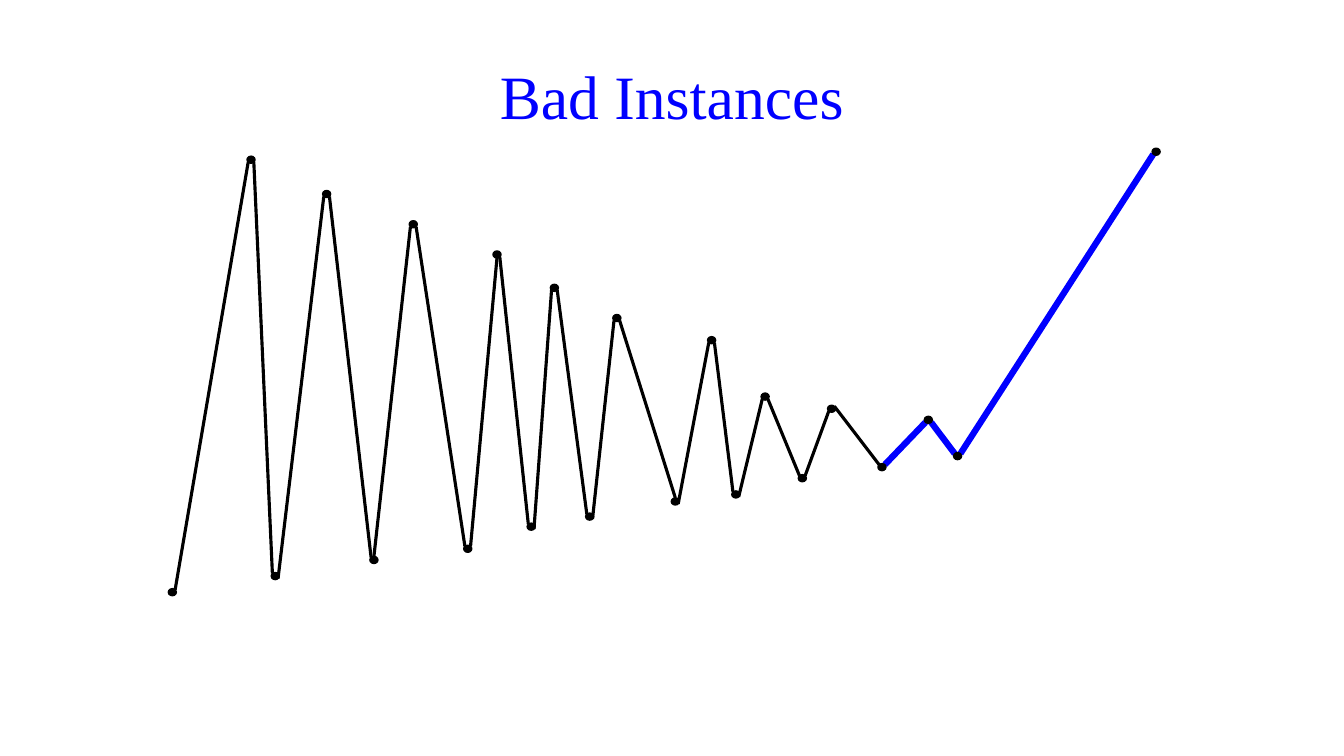
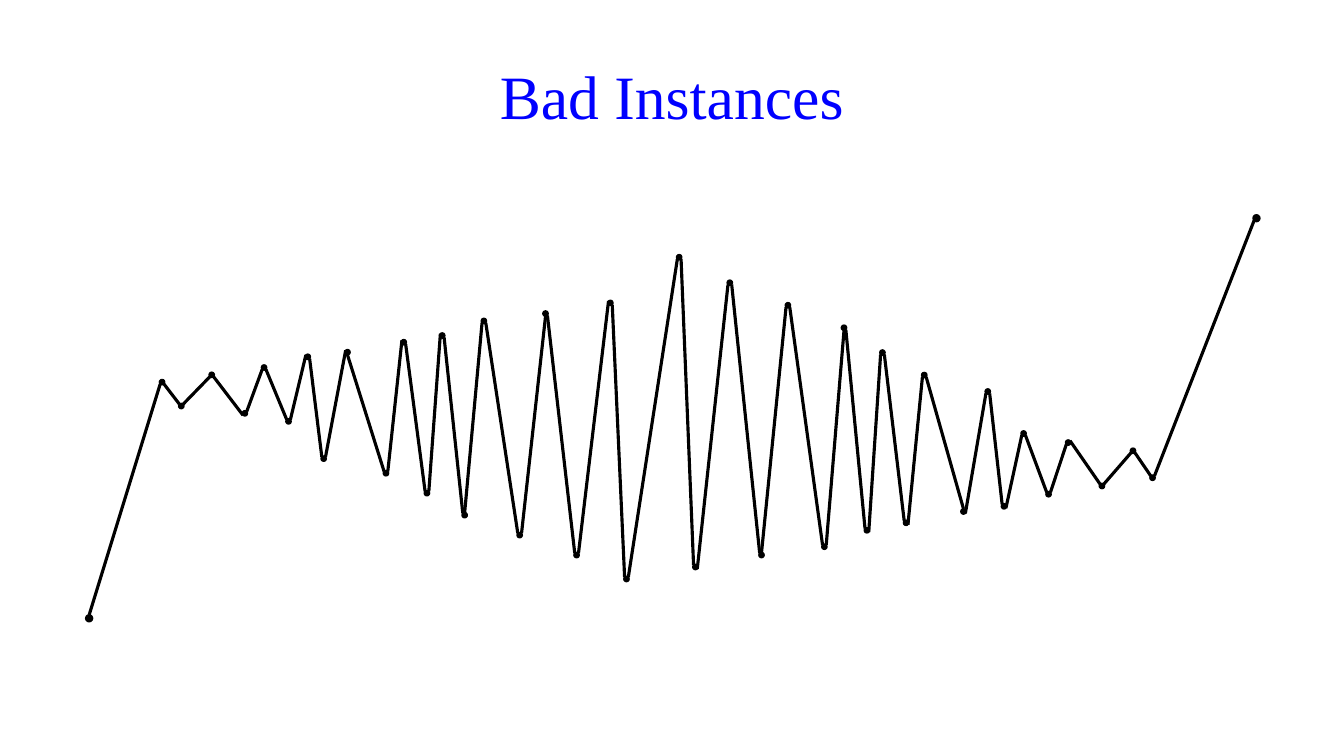
"""Builds two slides of zigzag paths titled Bad Instances."""
from collections import namedtuple

from lxml import etree
from pptx import Presentation
from pptx.dml.color import RGBColor
from pptx.enum import shapes, text
from pptx.oxml.ns import qn
from pptx.util import Pt

TITLE = "Bad Instances"
FONT = "Times New Roman"
BLUE = RGBColor(0x00, 0x00, 0xFF)
BLACK = RGBColor(0x00, 0x00, 0x00)

DIAGONAL = 0.35
CORNERS = {
    "N": (0, -0.5),
    "S": (0, 0.5),
    "NW": (-DIAGONAL, -DIAGONAL),
    "NE": (DIAGONAL, -DIAGONAL),
    "SW": (-DIAGONAL, DIAGONAL),
    "SE": (DIAGONAL, DIAGONAL),
}

ZIGZAG = [
    (123.1, 423, "NW", "NE"),
    (179.3, 114.1, "SW", "SE"),
    (196.6, 411.5, "NW", "SE"),
    (233.3, 138.6, "SW", "SE"),
    (267.1, 400, "NW", "N"),
    (295.2, 160.2, "SW", "SE"),
    (334.1, 392, "NW", "NE"),
    (355, 181.8, "S", "SE"),
    (379.4, 376.2, "NW", "SE"),
    (396, 205.6, "SW", "SE"),
    (421.2, 369, "NW", "SE"),
    (440.6, 227.2, "SW", "SE"),
    (482.4, 358.2, "N", "SE"),
    (508.3, 243, "SW", "SE"),
    (525.6, 353.2, "NW", "SE"),
    (546.5, 283.3, "SW", "SE"),
    (573.1, 341.6, "NW", "NE"),
    (594, 292, "SW", "NE"),
    (630, 333.7, "NW", "NE"),
    (663.1, 299.9, "SW", "SE"),
    (684, 325.8, "NW", "NE"),
    (825.8, 108.4, "SW", "SE"),
]
BLUE_STEPS = 3
FIRST_END = [(63.7, 441.7, "N", "N")]
LAST_END = [(897.5, 155.9, "SW", "SW")]

LARGE_DOT = (5.76, 5.04)
SMALL_DOT = (3.8, 3.8)
END_DOT = (5, 5)

Dot = namedtuple("Dot", "x y enter leave size")


def place(points, size, start=None, scale=(1, 1)):
    origin = points[0][:2]
    start = start or origin
    turn = 1 if scale[0] > 0 else -1
    dots = []
    for x, y, *corners in points:
        centre = [s + (v - o) * k for s, v, o, k in zip(start, (x, y), origin, scale)]
        enter, leave = (
            [c + turn * part * length for c, part, length in zip(centre, CORNERS[name], size)]
            for name in corners
        )
        dots.append(Dot(*centre, enter, leave, size))
    return dots


def draw_line(canvas, start, end, color=BLACK, width=2.25):
    line = canvas.add_connector(
        shapes.MSO_CONNECTOR.STRAIGHT, *(Pt(v) for v in (*start, *end)))
    line.line.color.rgb = color
    line.line.width = Pt(width)
    etree.SubElement(line._element.spPr, qn("a:effectLst"))


def draw_dot(canvas, dot):
    width, height = dot.size
    oval = canvas.add_shape(
        shapes.MSO_SHAPE.OVAL, Pt(dot.x - width / 2), Pt(dot.y - height / 2),
        Pt(width), Pt(height))
    oval.shadow.inherit = False
    oval.fill.solid()
    oval.fill.fore_color.rgb = BLACK
    oval.line.color.rgb = BLACK
    oval.line.width = Pt(1)


def draw_path(canvas, dots, blue_steps=0):
    first_blue = len(dots) - 1 - blue_steps
    for step, (before, after) in enumerate(zip(dots, dots[1:])):
        style = (BLUE, 4.5) if step >= first_blue else (BLACK, 2.25)
        draw_line(canvas, before.leave, after.enter, *style)
    for dot in dots:
        draw_dot(canvas, dot)


def add_titled_slide(deck):
    slide = deck.slides.add_slide(deck.slide_layouts[6])
    frame = slide.shapes.add_textbox(Pt(66), Pt(18.8), Pt(828), Pt(104.4)).text_frame
    frame.word_wrap = True
    frame.vertical_anchor = text.MSO_ANCHOR.MIDDLE
    title = frame.paragraphs[0]
    title.text = TITLE
    title.alignment = text.PP_ALIGN.CENTER
    title.line_spacing = 0.9
    title.font.name = FONT
    title.font.size = Pt(44)
    title.font.color.rgb = BLUE
    return slide.shapes


def main():
    deck = Presentation()
    deck.slide_width, deck.slide_height = Pt(960), Pt(540)

    draw_path(add_titled_slide(deck), place(ZIGZAG, LARGE_DOT), BLUE_STEPS)

    canvas = add_titled_slide(deck)
    right = place(ZIGZAG[:-1], SMALL_DOT, (447.5, 413.6), (0.67, 0.744))
    left = place(ZIGZAG[2:-1], SMALL_DOT, (436, 216.4), (-0.657, -0.66))
    for half in (right, left):
        draw_path(canvas.add_group_shape().shapes, half)
    first, last = (place(end, END_DOT)[0] for end in (FIRST_END, LAST_END))
    draw_line(canvas, right[0].enter, left[0].enter)
    draw_line(canvas, first.leave, left[-1].leave)
    draw_line(canvas, right[-1].leave, last.enter)
    for dot in (first, last):
        draw_dot(canvas, dot)

    deck.save("out.pptx")


if __name__ == "__main__":
    main()
